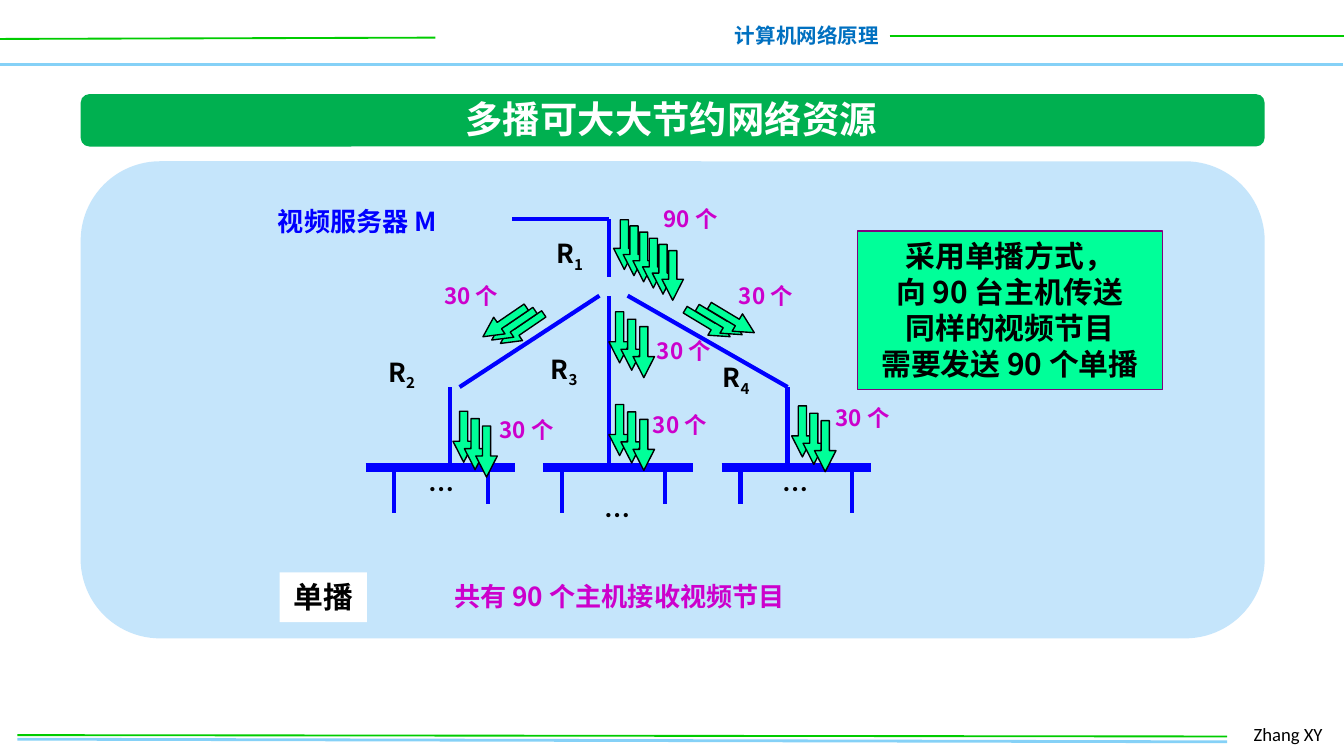
from lxml.etree import SubElement
from pptx import Presentation
from pptx.dml.color import RGBColor
from pptx.enum.shapes import MSO_CONNECTOR, MSO_SHAPE
from pptx.enum.text import MSO_ANCHOR, MSO_AUTO_SIZE, PP_ALIGN as Align
from pptx.oxml.ns import qn
from pptx.util import Inches, Pt

COLORS = {
    "blue": "0000FF", "sky": "85D1F7", "lime": "00CC00", "heading": "0070C0",
    "panel": "C5E5FB", "title": "00B050", "mint": "00FF99", "purple": "800080",
    "magenta": "CC00CC", "black": "000000", "white": "FFFFFF",
}
FONT = "Noto Sans CJK SC"

RULES = [
    (-0.01, 0.48, 9.99, 0.48, "sky", 2),
    (0, 0.29, 3.24, 0.28, "lime", 1),
    (6.62, 0.27, 10.01, 0.27, "lime", 1),
    (0.13, 5.5, 9.13, 5.52, "sky", 1.5),
    (0.13, 5.47, 9.13, 5.48, "lime", 1),
]
BUS_Y = 3.48
BUSES = [(2.72, 3.83), (4.04, 5.16), (5.37, 6.48)]
HOSTS = [(2.93, 3.82), (3.63, 3.75), (4.18, 3.82), (4.95, 3.75), (5.51, 3.75), (6.34, 3.82)]
LINKS = [
    (4.53, 1.63, 3.81, 1.63),
    (4.53, 2.06, 4.53, 1.63),
    (3.42, 2.88, 4.46, 2.2),
    (4.53, 2.88, 4.53, 2.2),
    (4.67, 2.2, 5.86, 2.88),
    (3.35, 2.88, 3.35, BUS_Y),
    (4.53, BUS_Y, 4.53, 2.88),
    (5.86, 2.88, 5.86, BUS_Y),
]
ROUTERS = [("1", 4.04, 1.72), ("2", 2.79, 2.6), ("3", 4, 2.58), ("4", 5.28, 2.64)]
ELLIPSES = [(3.09, 3.47, 0.39), (5.72, 3.47, 0.39), (4.4, 3.67, 0.47)]
COPIES = [
    ("90 个", 4.84, 1.48, Align.LEFT),
    ("30 个", 3.19, 2.05, Align.CENTER),
    ("30 个", 4.79, 2.46, Align.LEFT),
    ("30 个", 5.4, 2.05, Align.LEFT),
    ("30 个", 3.62, 3.05, Align.LEFT),
    ("30 个", 4.76, 3.01, Align.LEFT),
    ("30 个", 6.12, 2.96, Align.LEFT),
]
ARROW_SHEAVES = [
    (6, (4.46, 1.74), (4.82, 1.97), (0.37, 0.16), 90),
    (3, (3.69, 2.37), (3.56, 2.32), (0.39, 0.15), 145.7),
    (3, (5.07, 2.33), (5.25, 2.3), (0.39, 0.15), 31),
    (3, (4.42, 2.43), (4.6, 2.54), (0.38, 0.16), 90),
    (3, (3.26, 3.17), (3.43, 3.28), (0.38, 0.16), 90),
    (3, (4.42, 3.12), (4.6, 3.23), (0.38, 0.16), 90),
    (3, (5.78, 3.13), (5.95, 3.24), (0.38, 0.16), 90),
]
SUMMARY = ["采用单播方式，", "向 90 台主机传送", "同样的视频节目", "需要发送 90 个单播"]

presentation = Presentation()
presentation.slide_width = Inches(10)
presentation.slide_height = Inches(10 * 9 / 16)
slide = presentation.slides.add_slide(presentation.slide_layouts[6])


def color(name):
    return RGBColor.from_string(COLORS[name])


def add_line(x1, y1, x2, y2, line_color="blue", width=2.25):
    line = slide.shapes.add_connector(
        MSO_CONNECTOR.STRAIGHT, Inches(x1), Inches(y1), Inches(x2), Inches(y2))
    line.line.color.rgb = color(line_color)
    line.line.width = Pt(width)
    SubElement(line._element.spPr, qn("a:effectLst"))


def add_block(kind, box, fill, outline=None, shapes=slide.shapes):
    shape = shapes.add_shape(kind, *map(Inches, box))
    shape.shadow.inherit = False
    shape.fill.solid()
    shape.fill.fore_color.rgb = color(fill)
    if outline:
        shape.line.color.rgb = color(outline)
        shape.line.width = Pt(0.75)
    else:
        shape.line.fill.background()
    return shape


def write(shape, lines, size, text_color="black", align=Align.LEFT, wrap=True,
          bold=True, font_name=FONT):
    frame = shape.text_frame
    frame.text = "\n".join(lines)
    frame.word_wrap = wrap
    frame.auto_size = MSO_AUTO_SIZE.SHAPE_TO_FIT_TEXT
    frame.vertical_anchor = MSO_ANCHOR.TOP
    for paragraph in frame.paragraphs:
        paragraph.alignment = align
        for run in paragraph.runs:
            style_run(run, size, text_color, bold, font_name)
    return frame


def style_run(run, size, text_color, bold=True, font_name=FONT):
    run.font.size = Pt(size)
    run.font.bold = bold
    run.font.name = font_name
    run.font.color.rgb = color(text_color)
    SubElement(run._r.get_or_add_rPr(), qn("a:ea"), typeface=font_name)


def add_text(text, box, *args, **options):
    return write(slide.shapes.add_textbox(*map(Inches, box)), [text], *args, **options)


for rule in RULES:
    add_line(*rule)
add_text("计算机网络原理", (5.36, 0.12, 1.28, 0.29), 11, "heading", Align.RIGHT, wrap=False)
add_text("Zhang XY", (9.23, 5.33, 0.74, 0.27), 10, bold=False, font_name="Calibri")

add_block(MSO_SHAPE.ROUNDED_RECTANGLE, (0.6, 1.2, 8.81, 3.55), "panel")
add_block(MSO_SHAPE.ROUNDED_RECTANGLE, (0.6, 0.7, 8.81, 0.39), "title")
add_text("多播可大大节约网络资源", (2.12, 0.67, 5.75, 0.44), 20, "white", Align.CENTER)

for link in LINKS:
    add_line(*link)
for left, right in BUSES:
    add_line(left, BUS_Y, right, BUS_Y, width=4.5)
for x, bottom in HOSTS:
    add_line(x, BUS_Y, x, bottom)

add_text("视频服务器 M", (1.97, 1.48, 1.44, 0.34), 14, "blue", wrap=False)
add_text("共有 90 个主机接收视频节目", (3.25, 4.27, 2.72, 0.34), 14, "magenta", Align.CENTER)
for number, x, y in ROUTERS:
    frame = add_text("R", (x, y, 0.42, 0.34), 14, wrap=False)
    subscript = frame.paragraphs[0].add_run()
    subscript.text = number
    style_run(subscript, 14, "black")
    subscript.font._element.set("baseline", "-25000")
for x, y, width in ELLIPSES:
    add_text("…", (x, y, width, 0.34), 14)
for text, x, y, align in COPIES:
    add_text(text, (x, y, 0.63, 0.3), 12, "magenta", align)

for count, (x1, y1), (x2, y2), size, angle in ARROW_SHEAVES:
    sheaf = slide.shapes.add_group_shape()
    for index in range(count):
        share = index / (count - 1)
        corner = (x1 + share * (x2 - x1), y1 + share * (y2 - y1))
        arrow = add_block(MSO_SHAPE.RIGHT_ARROW, corner + size, "mint", "black", sheaf.shapes)
        arrow.adjustments[0] = 0.38
        arrow.adjustments[1] = 0.98
        arrow.rotation = angle

summary = add_block(MSO_SHAPE.RECTANGLE, (6.38, 1.72, 2.27, 1.18), "mint", "purple")
write(summary, SUMMARY, 16, align=Align.CENTER)
caption = add_block(MSO_SHAPE.RECTANGLE, (2.08, 4.26, 0.65, 0.37), "white")
write(caption, ["单播"], 16, align=Align.CENTER, wrap=False)

presentation.save("out.pptx")
